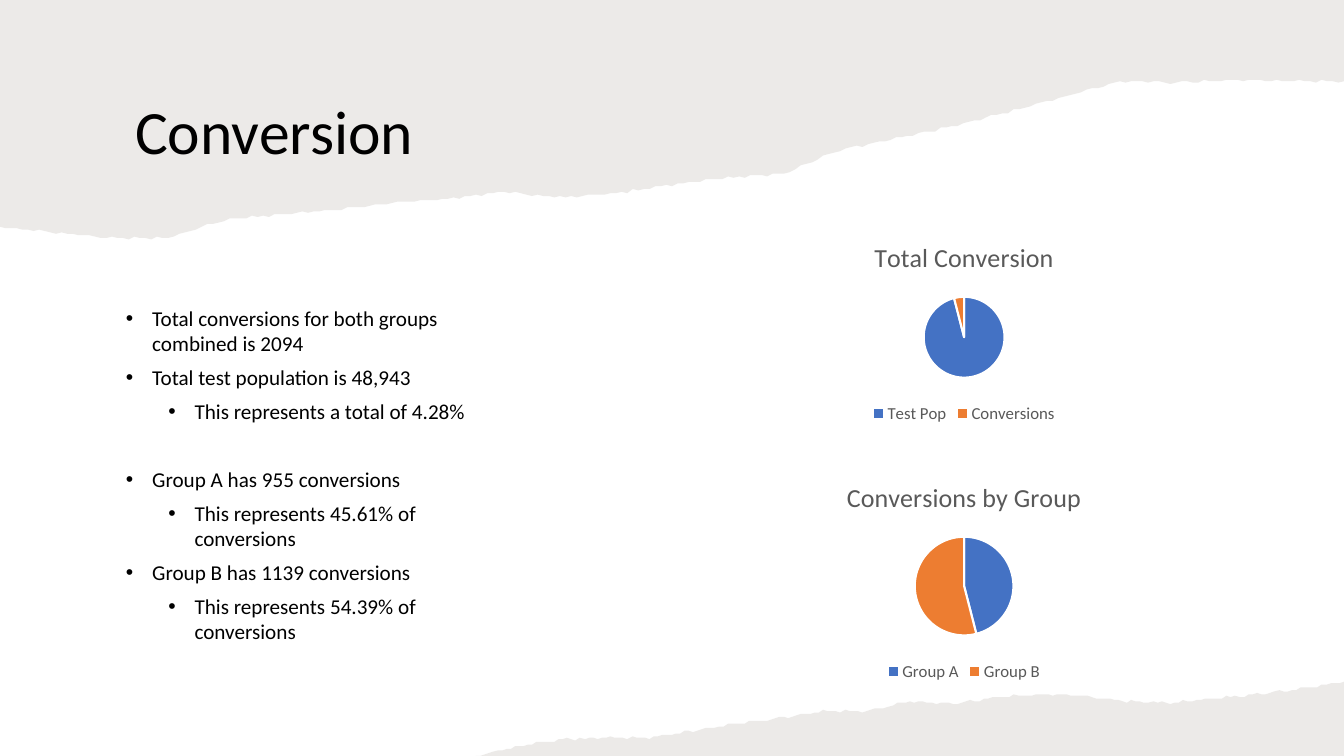
"""Build the Conversion slide with torn paper bands, bullets and two pies."""
import math

from pptx import Presentation
from pptx import util as u
from pptx.chart import data as cd
from pptx.dml import color as dml
from pptx.enum import chart as ch
from pptx.enum import text as te
from pptx.oxml import parse_xml
from pptx.oxml.ns import nsdecls, qn

COLORS = {
    "paper": "82766A", "ink": "000000", "grey": "595959",
    "white": "FFFFFF", "blue": "4472C4", "orange": "ED7D31",
}
FONT = "Calibri"
WIDE, HIGH = 960, 540

TITLE = "Conversion"
TITLE_BOX = (89.28, 58.32, 730.08, 74.88)

LIST_BOX = (82.8, 214.56, 260.64, 251.28)
GROUPS = [
    [(0, "Total conversions for both groups combined is 2094"),
     (0, "Total test population is 48,943"),
     (1, "This represents a total of 4.28%")],
    [(0, "Group A has 955 conversions"),
     (1, "This represents 45.61% of conversions"),
     (0, "Group B has 1139 conversions"),
     (1, "This represents 54.39% of conversions")],
]
INDENTS = (18.72, 48.96)
HANG = 18.72
GROUP_GAP, ITEM_GAP = 24.4, 6

PIES = [
    {"title": "Conversions by Group", "series": "Series 1",
     "values": {"Group A": 46, "Group B": 54},
     "box": (522, 331.92, 333.36, 157.68), "disc": 70.5},
    {"title": "Total Conversion", "series": "Total Conversion",
     "values": {"Test Pop": 96, "Conversions": 4},
     "box": (553.68, 160.56, 270, 144.72), "disc": 57.8},
]
SLICES = ("blue", "orange")
DISC_TOP = 51.5

TEARS = [
    {"start": 0, "side": 0,
     "heights": (162, 166, 170, 170, 157, 153, 150, 145, 142, 137, 141, 138, 132,
                 127, 124, 107, 99, 90, 80, 69, 58, 59, 57, 58, 58)},
    {"start": 340, "side": HIGH,
     "heights": (540, 533, 528, 527, 527, 522, 517, 513, 508, 508, 501,
                 503, 498, 496, 497, 501, 502, 499, 496, 492, 487)},
]
BITS = 10
WAVES = ((0.5, 0.37), (0.4, 0.83))


def tint(name):
    return dml.RGBColor.from_string(COLORS[name])


def paint(fill, name):
    fill.solid()
    fill.fore_color.rgb = tint(name)


def style(font, size, color):
    font.name, font.size, font.bold = FONT, u.Pt(size), False
    font.color.rgb = tint(color)


def write(para, words, size=15.1, color="ink", line=1.0, before=0, after=0, align=None):
    run = para.add_run()
    run.text = words
    style(run.font, size, color)
    para.line_spacing, para.alignment = line, align
    para.space_before, para.space_after = u.Pt(before), u.Pt(after)


def ragged(start, heights):
    """Join evenly spaced heights by short steps with a small ripple."""
    gap = (WIDE - start) / (len(heights) - 1)
    edge = []
    for step in range((len(heights) - 1) * BITS + 1):
        left, bit = divmod(step, BITS)
        right = min(left + 1, len(heights) - 1)
        base = heights[left] + (heights[right] - heights[left]) * bit / BITS
        x = start + gap * step / BITS
        ripple = sum(size * math.sin(rate * x) for size, rate in WAVES)
        edge.append((x, min(base + ripple, HIGH)))
    return edge


def tear(slide, rank, start, side, heights):
    edge = ragged(start, heights)
    pen = slide.shapes.build_freeform(start, side, scale=u.Pt(1))
    pen.add_line_segments(edge + [(WIDE, side)], close=True)
    band = pen.convert_to_shape()
    band.shadow.inherit = False
    paint(band.fill, "paper")
    band.line.fill.background()
    shade = next(band.element.iter(qn("a:srgbClr")))
    shade.append(parse_xml(f'<a:alpha {nsdecls("a")} val="15000"/>'))
    slide.shapes.element.insert(2 + rank, band.element)


def settle(shape, box, anchor):
    shape.left, shape.top, shape.width, shape.height = map(u.Pt, box)
    frame = shape.text_frame
    frame.word_wrap = True
    frame.auto_size = te.MSO_AUTO_SIZE.NONE
    frame.vertical_anchor = anchor
    return frame


def bullet(para, level):
    para.level = level
    props = para._p.get_or_add_pPr()
    props.set("marL", str(u.Pt(INDENTS[level])))
    props.set("indent", str(-u.Pt(HANG)))
    for tag in ('buFont {} typeface="Arial"', 'buChar {} char="•"'):
        props.append(parse_xml(f'<a:{tag.format(nsdecls("a"))}/>'))


def fill_list(frame):
    para = frame.paragraphs[0]
    for rank, group in enumerate(GROUPS):
        for spot, (level, words) in enumerate(group):
            if rank or spot:
                para = frame.add_paragraph()
            gap = GROUP_GAP if rank and not spot else 0
            write(para, words, before=gap, after=ITEM_GAP, align=te.PP_ALIGN.LEFT)
            bullet(para, level)


def center(chart, box, disc):
    """Set the disc in the middle of its chart, below the title."""
    wide, high = box[2:]
    spots = {"x": (1 - disc / wide) / 2, "y": DISC_TOP / high,
             "w": disc / wide, "h": disc / high}
    modes = {"layoutTarget": "inner", "xMode": "edge", "yMode": "edge"}
    parts = "".join(f'<c:{key} val="{val}"/>' for key, val in {**modes, **spots}.items())
    area = next(chart.element.iter(qn("c:plotArea")))
    for old in area.findall(qn("c:layout")):
        area.remove(old)
    area.insert(0, parse_xml(
        f'<c:layout {nsdecls("c")}><c:manualLayout>{parts}</c:manualLayout></c:layout>'))


def draw(slide, title, series, values, box, disc):
    data = cd.CategoryChartData()
    data.categories = list(values)
    data.add_series(series, list(values.values()))
    chart = slide.shapes.add_chart(ch.XL_CHART_TYPE.PIE, *map(u.Pt, box), data).chart
    style(chart.font, 10, "ink")
    chart.has_title = chart.has_legend = True
    head, legend, plot = chart.chart_title, chart.legend, chart.plots[0]
    write(head.text_frame.paragraphs[0], title, size=18.6, color="grey")
    legend.position = ch.XL_LEGEND_POSITION.BOTTOM
    head.include_in_layout = legend.include_in_layout = False
    style(legend.font, 12, "grey")
    plot.vary_by_categories = True
    for rank, color in enumerate(SLICES):
        look = plot.series[0].points[rank].format
        paint(look.fill, color)
        look.line.color.rgb = tint("white")
        look.line.width = u.Pt(1.5)
    center(chart, box, disc)


def main():
    deck = Presentation()
    deck.slide_width, deck.slide_height = u.Pt(WIDE), u.Pt(HIGH)
    slide = deck.slides.add_slide(deck.slide_layouts[1])
    head, body = slide.placeholders
    title = settle(head, TITLE_BOX, te.MSO_ANCHOR.MIDDLE)
    write(title.paragraphs[0], TITLE, size=44, line=0.9, align=te.PP_ALIGN.LEFT)
    fill_list(settle(body, LIST_BOX, te.MSO_ANCHOR.TOP))
    for rank, band in enumerate(TEARS):
        tear(slide, rank, **band)
    for pie in PIES:
        draw(slide, **pie)
    deck.save("out.pptx")


if __name__ == "__main__":
    main()
